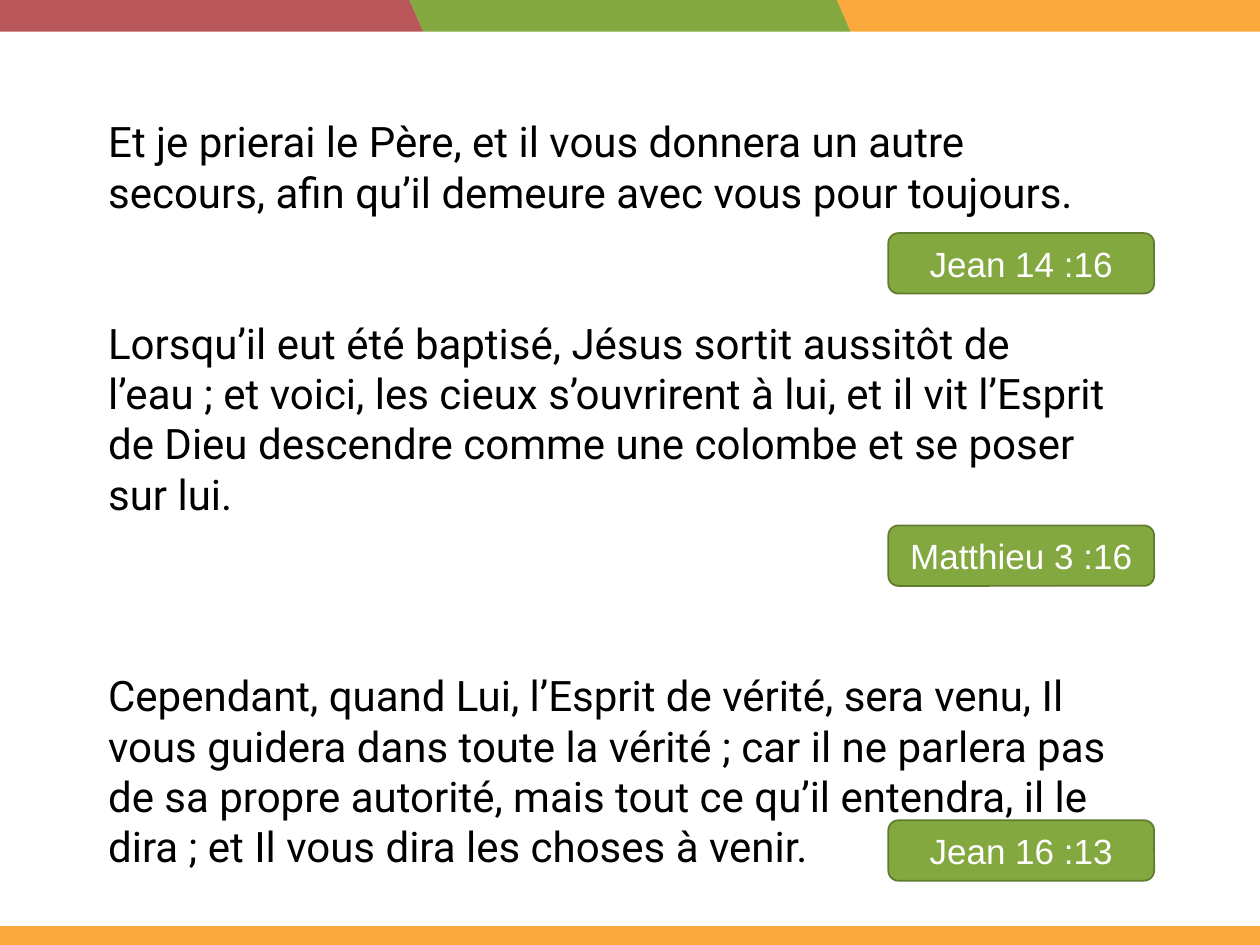
from pptx import Presentation
from pptx.dml.color import RGBColor
from pptx.enum import shapes, text
from pptx.util import Inches, Pt

COLORS = {
    "red": "B95659", "green": "83A83F", "orange": "FBA93D",
    "outline": "617C2F", "white": "FFFFFF", "black": "000000",
}

# Content: header bands (left, colour), references (text, top), verses (text, space before)
BANDS = [(6.64, "orange"), (-0.14, "red"), (3.25, "green")]
REFERENCES = [("Jean 14 :16", 1.85), ("Matthieu 3 :16", 4.17), ("Jean 16 :13", 6.51)]
VERSES = [
    ("Et je prierai le Père, et il vous donnera un autre secours, "
     "afin qu’il demeure avec vous pour toujours.", 0),
    ("Lorsqu’il eut été baptisé, Jésus sortit aussitôt de l’eau ; et voici, "
     "les cieux s’ouvrirent à lui, et il vit l’Esprit de Dieu descendre "
     "comme une colombe et se poser sur lui.", 57.5),
    ("Cependant, quand Lui, l’Esprit de vérité, sera venu, Il vous guidera "
     "dans toute la vérité ; car il ne parlera pas de sa propre autorité, "
     "mais tout ce qu’il entendra, il le dira ; et Il vous dira les choses "
     "à venir.", 86.25),
]


def color(name):
    return RGBColor.from_string(COLORS[name])


def add_block(page, kind, left, top, width, height, fill):
    block = page.shapes.add_shape(
        kind, Inches(left), Inches(top), Inches(width), Inches(height))
    block.shadow.inherit = False
    block.fill.solid()
    block.fill.fore_color.rgb = color(fill)
    block.line.fill.background()
    return block


def style(paragraph, font, size, fill):
    paragraph.font.name = font
    paragraph.font.size = Pt(size)
    paragraph.font.color.rgb = color(fill)
    for span in paragraph.runs:
        span.font.name = font
        span.font.size = Pt(size)
        span.font.color.rgb = color(fill)


deck = Presentation()
deck.slide_width, deck.slide_height = Inches(10), Inches(7.5)
page = deck.slides.add_slide(deck.slide_layouts[6])

# Slanted header bands and footer bar
for left, fill in BANDS:
    band = add_block(page, shapes.MSO_SHAPE.PARALLELOGRAM, left, 0, 3.5, 0.25, fill)
    band.adjustments[0] = 0.436
    band._element.spPr.xfrm.set("flipH", "1")
add_block(page, shapes.MSO_SHAPE.RECTANGLE, 0, 7.35, 10, 0.15, "orange")

# Reference labels
for reference, top in REFERENCES:
    label = add_block(page, shapes.MSO_SHAPE.ROUNDED_RECTANGLE, 7.05, top, 2.11, 0.48, "green")
    label.line.color.rgb = color("outline")
    label.line.width = Pt(1)
    frame = label.text_frame
    frame.text = reference
    frame.vertical_anchor = text.MSO_ANCHOR.MIDDLE
    frame.paragraphs[0].alignment = text.PP_ALIGN.CENTER
    style(frame.paragraphs[0], "Arial", 20, "white")

# Verses
box = page.shapes.add_textbox(Inches(0.76), Inches(0.87), Inches(8.21), Inches(5.76))
frame = box.text_frame
frame.word_wrap = True
frame.text = "\n".join(verse for verse, _ in VERSES)
for paragraph, (_, gap) in zip(frame.paragraphs, VERSES):
    if gap:
        paragraph.space_before = Pt(gap)
    style(paragraph, "Roboto", 24, "black")

deck.save("out.pptx")
